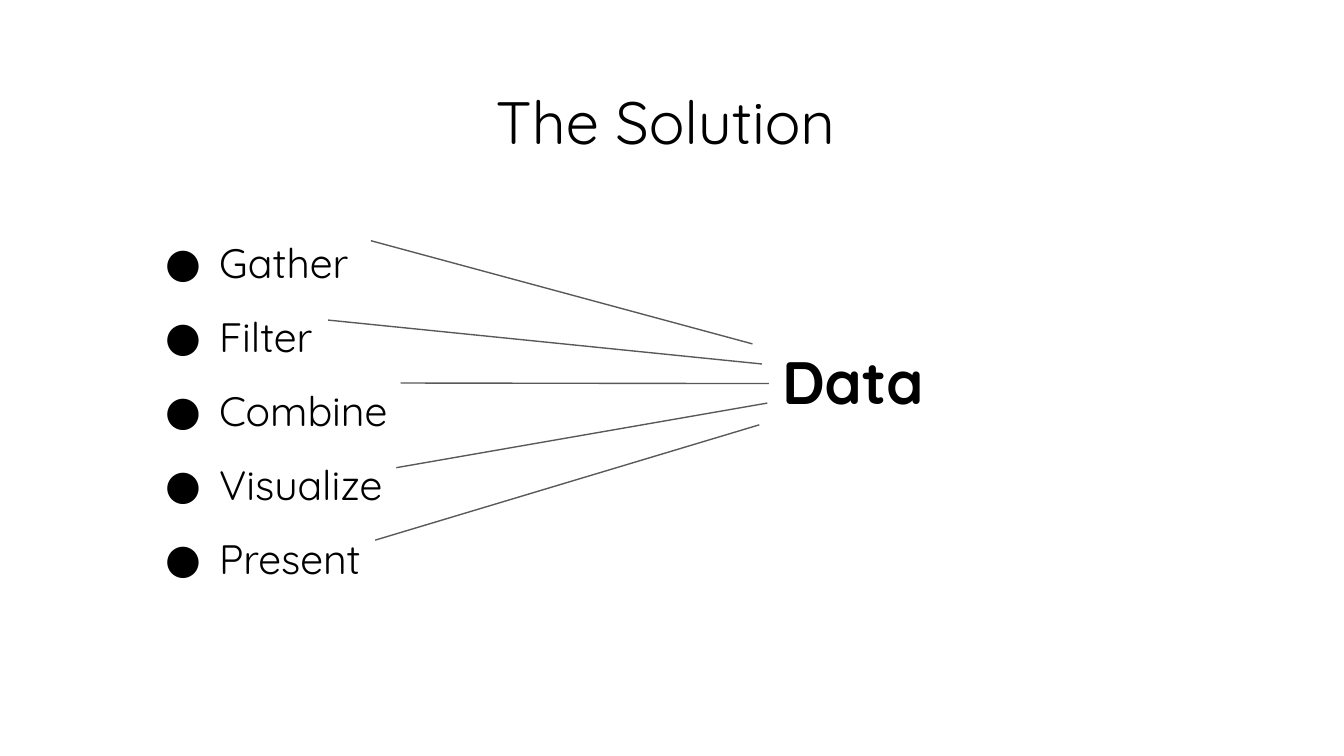
import pptx
import pptx.dml.color
import pptx.enum.shapes
import pptx.enum.text
import pptx.oxml.ns
import pptx.util
from lxml import etree
from pptx.util import Cm

BLACK = pptx.dml.color.RGBColor(0x00, 0x00, 0x00)
GRAY = pptx.dml.color.RGBColor(0x59, 0x59, 0x59)
FONT = "Quicksand"
STEPS = ["Gather", "Filter", "Combine", "Visualize", "Present"]
SPOKES = [
    ((0.81, 0), (8.02, 1.95)),
    ((0, 1.5), (8.2, 2.33)),
    ((1.37, 2.69), (8.33, 2.7)),
    ((1.29, 4.29), (8.3, 3.07)),
    ((0.89, 5.66), (8.15, 3.48)),
]
MIDDLE_SPOKE = len(SPOKES) // 2
LEFT_SIDE = 1


def apply_format(target, values):
    for name, value in values.items():
        setattr(target, name, value)


def add_text(slide, box, lines, size, bold=False):
    shape = slide.shapes.add_textbox(*(Cm(length) for length in box))
    frame = shape.text_frame
    margins = ("margin_left", "margin_top", "margin_right", "margin_bottom")
    apply_format(frame, {"word_wrap": True, **dict.fromkeys(margins, Cm(0.25))})
    frame.text = "\n".join(lines)
    for paragraph in frame.paragraphs:
        font = paragraph.runs[0].font
        apply_format(font, {"name": FONT, "size": pptx.util.Pt(size), "bold": bold})
        font.color.rgb = BLACK
    return shape


def add_bullet(paragraph):
    paragraph.line_spacing = 1.5
    properties = paragraph._p.get_or_add_pPr()
    properties.set("marL", str(Cm(1.27)))
    properties.set("indent", str(Cm(-1.02)))
    qualify = pptx.oxml.ns.qn
    bullet_color = etree.SubElement(properties, qualify("a:buClr"))
    etree.SubElement(bullet_color, qualify("a:srgbClr"), val=str(BLACK))
    etree.SubElement(properties, qualify("a:buFont"), typeface=FONT)
    etree.SubElement(properties, qualify("a:buChar"), char="●")


def add_step_list(slide, box):
    shape = add_text(slide, box, STEPS, 22)
    for paragraph in shape.text_frame.paragraphs:
        add_bullet(paragraph)


def add_spokes(slide, origin, data_shape):
    left, top = origin
    for index, (start, end) in enumerate(SPOKES):
        points = [Cm(value) for x, y in (start, end) for value in (left + x, top + y)]
        connector = slide.shapes.add_connector(
            pptx.enum.shapes.MSO_CONNECTOR.STRAIGHT, *points
        )
        connector.line.color.rgb = GRAY
        connector.line.width = pptx.util.Pt(0.75)
        etree.SubElement(
            connector._element.spPr, pptx.oxml.ns.qn("a:effectLst")
        )
        if index == MIDDLE_SPOKE:
            connector.end_connect(data_shape, LEFT_SIDE)


def build_solution_slide(presentation):
    slide = presentation.slides.add_slide(presentation.slide_layouts[6])
    add_text(slide, (9.12, 1.35, 7.01, 2.01), ["The Solution"], 32)
    add_step_list(slide, (2.62, 3.78, 17.17, 8.03))
    data_shape = add_text(slide, (14.53, 6.27, 3.25, 1.96), ["Data"], 32, bold=True)
    add_spokes(slide, (6.2, 4.55), data_shape)


def main():
    presentation = pptx.Presentation()
    apply_format(presentation, {"slide_width": Cm(25.4), "slide_height": Cm(14.29)})
    build_solution_slide(presentation)
    presentation.save("out.pptx")


if __name__ == "__main__":
    main()
